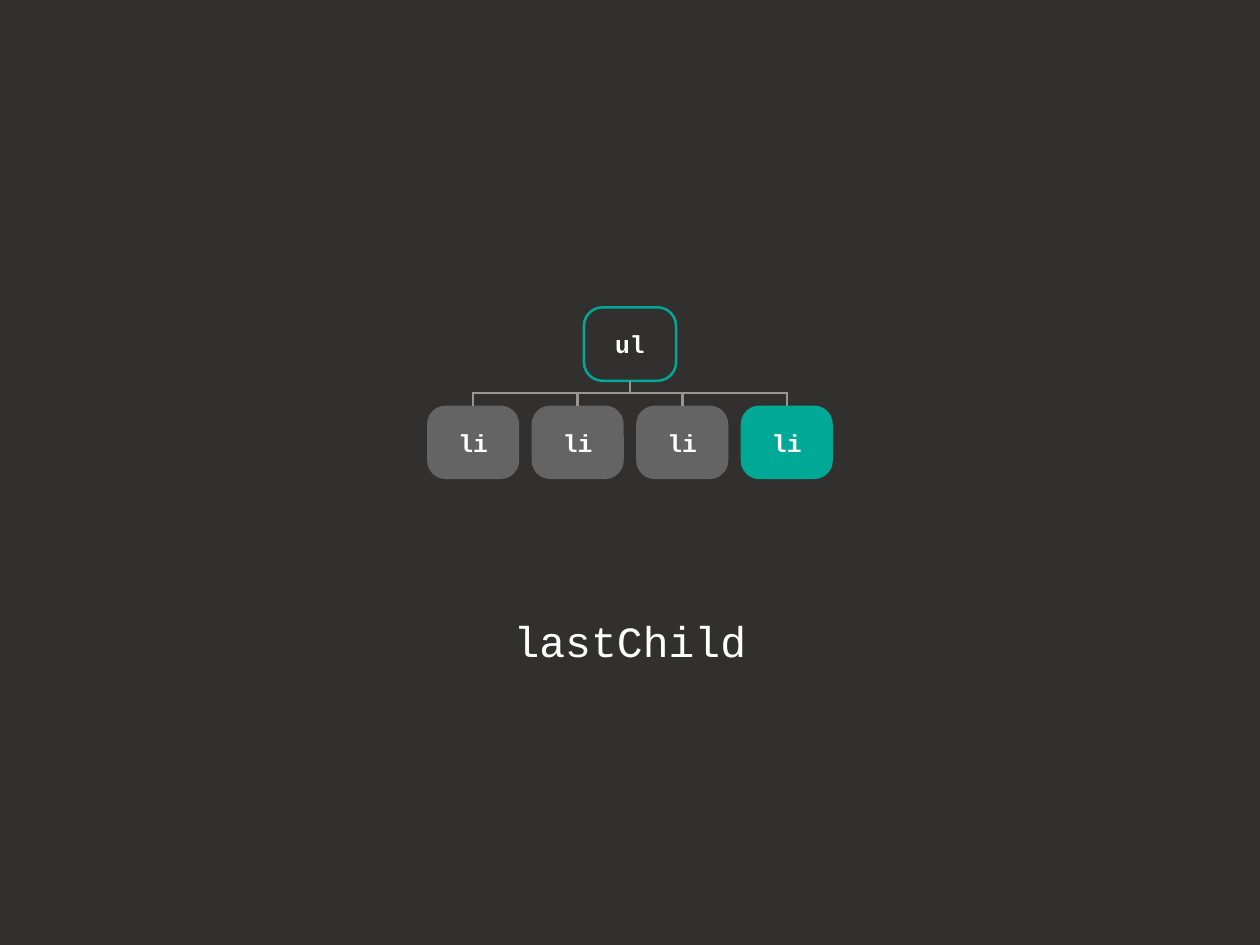
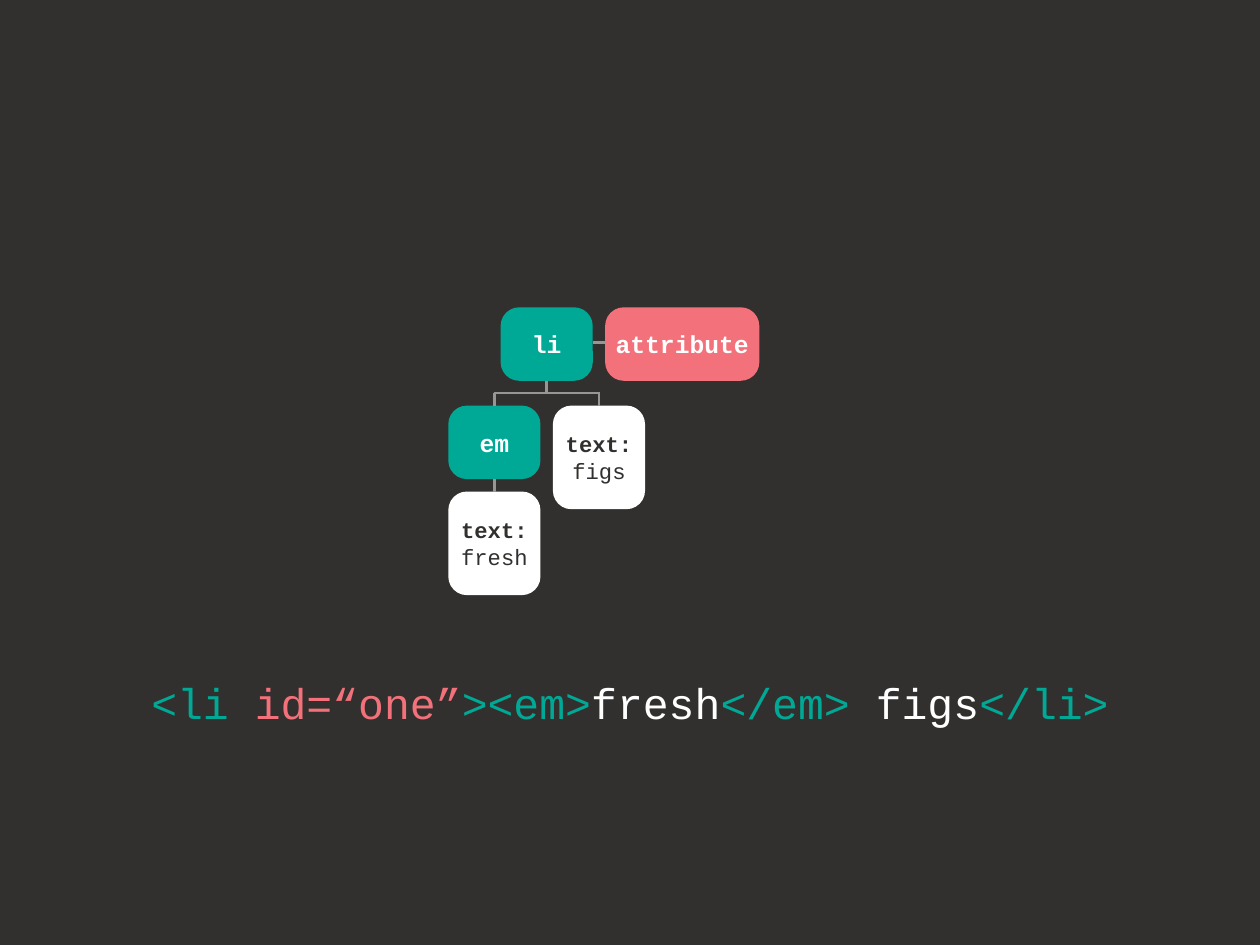
from pptx import Presentation
from pptx.dml.color import RGBColor as RGB
from pptx.enum.shapes import MSO_CONNECTOR as Conn, MSO_SHAPE as Shape
from pptx.enum.text import MSO_ANCHOR as Anchor, MSO_AUTO_SIZE as Auto, PP_ALIGN as Align
from pptx.oxml.ns import qn
from pptx.util import Inches, Pt
from lxml import etree

INK = {"back": "32302E", "white": "FFFFFF", "teal": "00A996",
       "pink": "F2717A", "gray": "646464", "line": "969696"}
FONT = "Courier New"

WIDE, HIGH, TALL = 1.04, 0.83, 1.17
STEP = 1.18             # between the centres of neighbouring nodes
GAP = 0.14              # between touching nodes that share a link
TOP, BUS, ROW = 3.47, 4.44, 4.58
RADIUS = 0.21


def tint(name):
    return RGB.from_string(INK[name])


def style(font, size, color, bold=False):
    font.name, font.size, font.bold = FONT, Pt(size), bold
    font.color.rgb = tint(color)


def fit(frame, anchor):
    """Wrap the text, drop the margins and set the vertical anchor."""
    frame.auto_size, frame.word_wrap = Auto.NONE, True
    frame.vertical_anchor = anchor
    frame.margin_left = frame.margin_right = 0
    frame.margin_top = frame.margin_bottom = 0


def start(deck, top, parts):
    """Add a slide with a title of (text, colour) parts; return its diagram group."""
    slide = deck.slides.add_slide(deck.slide_layouts[5])
    title = slide.shapes.title
    title.left, title.top = Inches(0.86), Inches(top)
    title.width, title.height = Inches(12.5), Inches(0.69)
    fit(title.text_frame, Anchor.TOP)
    para = title.text_frame.paragraphs[0]
    para.alignment = Align.CENTER
    for text, color in parts:
        run = para.add_run()
        run.text = text
        style(run.font, 35, color)
    return slide.shapes.add_group_shape().shapes


def box(group, mid, top, wide, high, fill):
    """Draw a rounded node centred on mid; without a fill it gets an outline."""
    node = group.add_shape(Shape.ROUNDED_RECTANGLE, Inches(mid - wide / 2),
                           Inches(top), Inches(wide), Inches(high))
    node.adjustments[0] = RADIUS / min(wide, high)
    node.shadow.inherit = False
    if fill:
        node.fill.solid()
        node.fill.fore_color.rgb = tint(fill)
        node.line.fill.background()
    else:
        node.fill.background()
        node.line.color.rgb = tint("teal")
        node.line.width = Pt(2)
    fit(node.text_frame, Anchor.MIDDLE)
    return node.text_frame


def write(para, text, size, color, bold):
    para.text = text
    para.alignment = Align.CENTER
    style(para.font, size, color, bold)


def tag(group, mid, top, text, fill=None, wide=WIDE):
    frame = box(group, mid, top, wide, HIGH, fill)
    write(frame.paragraphs[0], text, 20, "white", True)


def leaf(group, mid, top, text):
    frame = box(group, mid, top, WIDE, TALL, "white")
    write(frame.paragraphs[0], "text:", 18, "back", True)
    write(frame.add_paragraph(), text, 18, "back", False)


def link(group, x1, y1, x2, y2):
    line = group.add_connector(Conn.STRAIGHT, Inches(x1), Inches(y1),
                               Inches(x2), Inches(y2))
    line.line.color.rgb = tint("line")
    line.line.width = Pt(2)
    props = line._element.find(qn("p:spPr"))
    etree.SubElement(props, qn("a:effectLst"))


def spread(mid, count):
    """Return the centres of a row of child nodes below mid."""
    return [mid + STEP * (i - (count - 1) / 2) for i in range(count)]


def branch(group, mid, kids):
    """Join a top node to the row of child nodes."""
    link(group, mid, TOP + HIGH, mid, BUS)
    link(group, kids[0] - 0.01, BUS, kids[-1] + 0.01, BUS)
    for kid in kids:
        link(group, kid, BUS, kid, ROW)


def last_child(deck):
    group = start(deck, 6.94, [("lastChild", "white")])
    mid = 7.11
    kids = spread(mid, 4)
    tag(group, mid, TOP, "ul")
    for kid in kids:
        tag(group, kid, ROW, "li", "teal" if kid == kids[-1] else "gray")
    branch(group, mid, kids)


def markup(deck):
    group = start(deck, 7.64, [
        ("<li ", "teal"), ("id=“one”", "pink"), ("><em>", "teal"),
        ("fresh", "white"), ("</em>", "teal"), (" figs", "white"),
        ("</li>", "teal")])
    mid, wide = 6.17, 1.74
    kids = spread(mid, 2)
    edge = mid + WIDE / 2
    tag(group, mid, TOP, "li", "teal")
    tag(group, edge + GAP + wide / 2, TOP, "attribute", "pink", wide)
    link(group, edge, 3.87, edge + GAP, 3.87)
    tag(group, kids[0], ROW, "em", "teal")
    leaf(group, kids[1], ROW, "figs")
    base = ROW + HIGH
    leaf(group, kids[0], base + GAP, "fresh")
    link(group, kids[0], base, kids[0], base + GAP)
    branch(group, mid, kids)


def main():
    deck = Presentation()
    deck.slide_width, deck.slide_height = Inches(14.22), Inches(10.67)
    back = deck.slide_master.background.fill
    back.solid()
    back.fore_color.rgb = tint("back")
    last_child(deck)
    markup(deck)
    deck.save("out.pptx")


if __name__ == "__main__":
    main()
